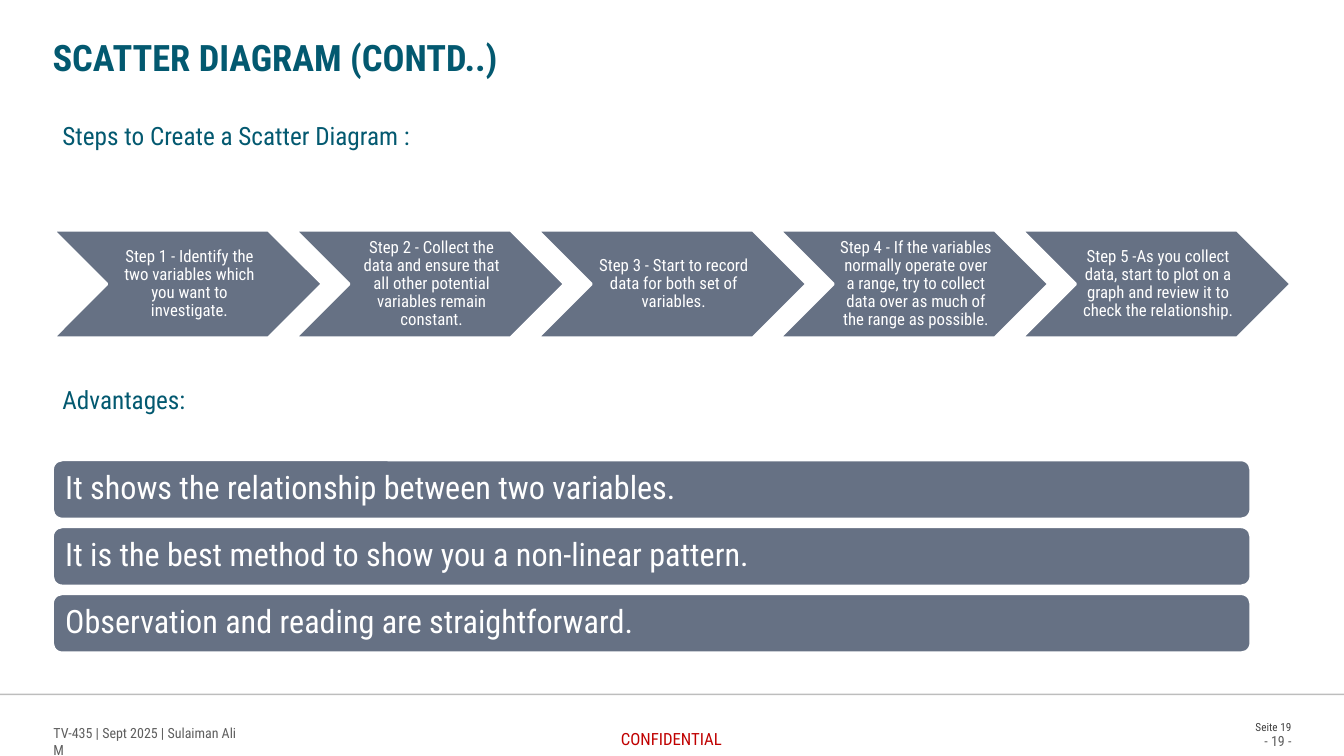
from dataclasses import dataclass

import lxml.etree
import pptx
import pptx.dml.color
import pptx.enum.shapes
import pptx.enum.text
import pptx.oxml
import pptx.oxml.ns
import pptx.util

Pt = pptx.util.Pt
ALIGN = pptx.enum.text.PP_ALIGN
ANCHOR = pptx.enum.text.MSO_ANCHOR
SHAPE = pptx.enum.shapes.MSO_SHAPE
FONT = "Roboto Condensed"
COLORS = {
    "teal": "035970",
    "slate": "667184",
    "white": "FFFFFF",
    "red": "C00000",
    "gray": "5E5E5E",
    "dark": "404040",
    "black": "000000",
}


@dataclass
class Box:
    left: float
    top: float
    width: float
    height: float


@dataclass
class Label:
    text: str
    box: Box
    size: float
    color: str
    align: ALIGN = ALIGN.LEFT
    anchor: ANCHOR = ANCHOR.MIDDLE
    inset: tuple = (0, 0, 0, 0)


@dataclass
class Series:
    kind: SHAPE
    first: Box
    step_x: float
    step_y: float
    size: float
    align: ALIGN
    inset: tuple
    texts: list


LABELS = [
    Label("CONFIDENTIAL", Box(443.5, 520.5, 75, 14.5), 12, "red", anchor=ANCHOR.TOP),
    Label("TV-435 | Sept 2025 | Sulaiman Ali M", Box(38.2, 523.5, 138, 12), 10, "gray"),
    Label("- 19 -", Box(900.5, 523.5, 22, 12), 10, "gray", ALIGN.RIGHT),
    Label("Seite 19", Box(834, 506.5, 88.5, 26), 8, "dark", ALIGN.RIGHT),
    Label("Steps to Create a Scatter Diagram :", Box(37.5, 82.3, 480, 29), 18, "teal",
          anchor=ANCHOR.TOP, inset=(7.2, 3.6, 7.2, 3.6)),
    Label("Advantages:", Box(37.5, 271.2, 480, 29), 18, "teal",
          anchor=ANCHOR.TOP, inset=(7.2, 3.6, 7.2, 3.6)),
]

STEPS = Series(
    SHAPE.CHEVRON, Box(38, 164.4, 192.2, 76.9), 172.97, 0, 12, ALIGN.CENTER, (4, 1.4, 1.4, 1.4),
    [
        "Step 1 - Identify the two variables which you want to investigate.",
        "Step 2 - Collect the data and ensure that all other potential variables remain constant.",
        "Step 3 - Start to record data for both set of variables.",
        "Step 4 - If the variables normally operate over a range, "
        "try to collect data over as much of the range as possible.",
        "Step 5 -As you collect data, start to plot on a graph "
        "and review it to check the relationship.",
    ],
)

GAINS = Series(
    SHAPE.ROUNDED_RECTANGLE, Box(37.5, 328.5, 856, 42.3), 0, 47.8, 23, ALIGN.LEFT, (7.2,) * 4,
    [
        "It shows the relationship between two variables.",
        "It is the best method to show you a non-linear pattern.",
        "Observation and reading are straightforward.",
    ],
)


def tint(name: str) -> pptx.dml.color.RGBColor:
    return pptx.dml.color.RGBColor.from_string(COLORS[name])


def place(box: Box) -> tuple:
    return Pt(box.left), Pt(box.top), Pt(box.width), Pt(box.height)


def write(shape, text: str, *, size: float, color: str, align=ALIGN.LEFT, anchor=ANCHOR.MIDDLE,
          inset=(0, 0, 0, 0), bold=False, spacing=None) -> None:
    frame = shape.text_frame
    frame.word_wrap = True
    frame.auto_size = pptx.enum.text.MSO_AUTO_SIZE.NONE
    frame.vertical_anchor = anchor
    frame.margin_left, frame.margin_top, frame.margin_right, frame.margin_bottom = map(Pt, inset)
    para = frame.paragraphs[0]
    para.alignment = align
    para.line_spacing = spacing
    run = para.add_run()
    run.text = text
    run.font.name = FONT
    run.font.size = Pt(size)
    run.font.bold = bold
    run.font.color.rgb = tint(color)


def add_label(slide, label: Label) -> None:
    shape = slide.shapes.add_textbox(*place(label.box))
    write(shape, label.text, size=label.size, color=label.color, align=label.align,
          anchor=label.anchor, inset=label.inset)


def add_series(slide, series: Series) -> None:
    first = series.first
    for i, text in enumerate(series.texts):
        box = Box(first.left + i * series.step_x, first.top + i * series.step_y,
                  first.width, first.height)
        shape = slide.shapes.add_shape(series.kind, *place(box))
        shape.shadow.inherit = False
        shape.fill.solid()
        shape.fill.fore_color.rgb = tint("slate")
        shape.line.color.rgb = tint("white")
        shape.line.width = Pt(2)
        write(shape, text, size=series.size, color="white", align=series.align,
              inset=series.inset, spacing=0.9)


def add_rule(slide, top: float, width: float) -> None:
    rule = slide.shapes.add_connector(pptx.enum.shapes.MSO_CONNECTOR.STRAIGHT,
                                      Pt(0), Pt(top), Pt(width), Pt(top))
    rule.line.color.rgb = tint("black")
    rule.line.width = Pt(1)
    qn = pptx.oxml.ns.qn
    props = rule.element.spPr
    color = props.find(".//" + qn("a:srgbClr"))
    lxml.etree.SubElement(color, qn("a:alpha"), val="25000")
    lxml.etree.SubElement(props, qn("a:effectLst"))


def main() -> None:
    deck = pptx.Presentation()
    deck.slide_width, deck.slide_height = Pt(960), Pt(540)
    slide = deck.slides.add_slide(deck.slide_layouts[5])
    title = slide.shapes.title
    title.left, title.top, title.width, title.height = place(Box(37.5, 29.5, 435, 28))
    write(title, "SCATTER DIAGRAM (CONTD..)", size=26, color="teal", anchor=ANCHOR.TOP,
          bold=True, spacing=Pt(27))
    add_rule(slide, 496, 960)
    for label in LABELS:
        add_label(slide, label)
    for series in (STEPS, GAINS):
        add_series(slide, series)
    deck.save("out.pptx")


if __name__ == "__main__":
    main()
